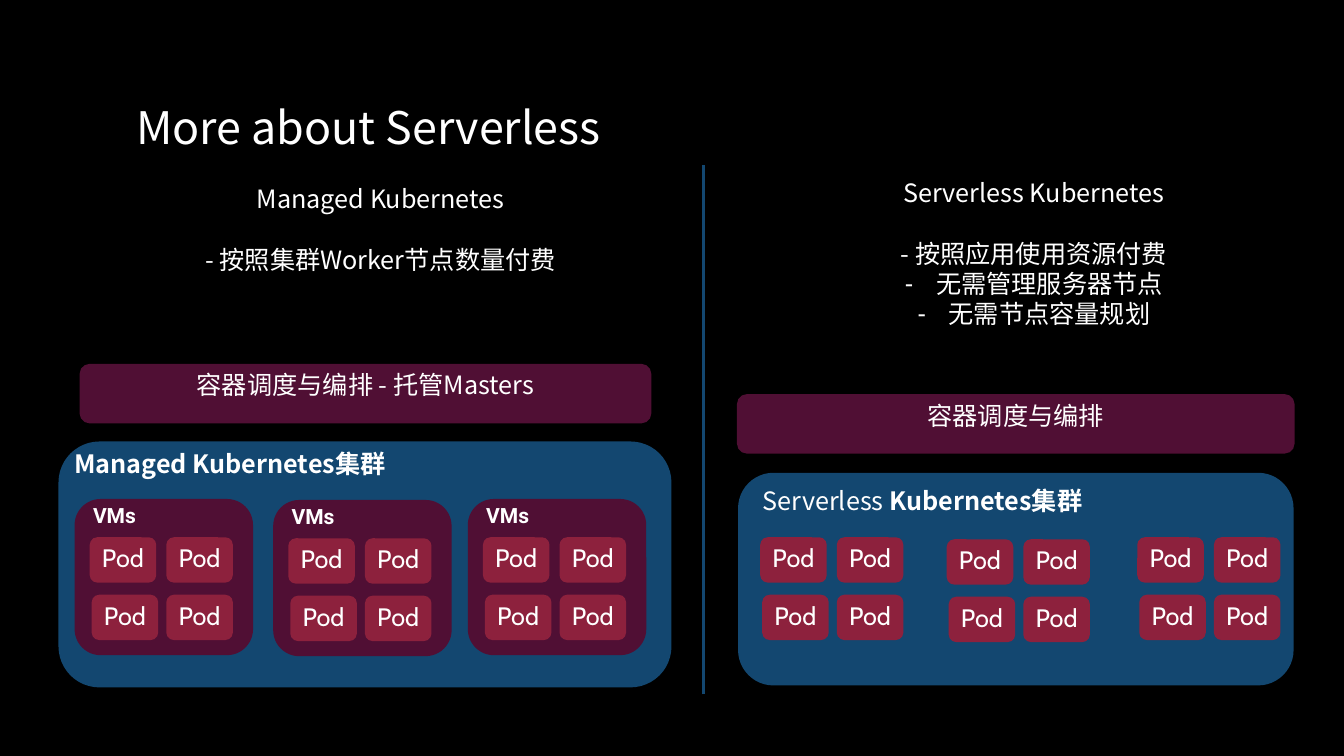
from dataclasses import dataclass
from lxml.etree import SubElement
from pptx import Presentation
from pptx.dml.color import RGBColor
from pptx.enum.shapes import MSO_CONNECTOR, MSO_SHAPE
from pptx.enum.text import MSO_ANCHOR as Anchor, MSO_AUTO_SIZE as AutoSize, PP_ALIGN as Align
from pptx.oxml.ns import qn
from pptx.util import Inches, Pt


@dataclass(frozen=True)
class Theme:
    background = RGBColor.from_string("000000")
    cluster = RGBColor.from_string("134770")
    plum = RGBColor.from_string("500F34")
    pod = RGBColor.from_string("8D213D")
    text = RGBColor.from_string("FFFFFF")
    main_font = "Noto Sans CJK SC"
    pod_font = "Cabin"
    node_font = "Roboto"
    title_size = Pt(32)
    text_size = Pt(18)
    node_size = Pt(15)


theme = Theme()


def style(paragraph, size=theme.text_size, face=theme.main_font, bold=None, align=Align.CENTER):
    """Set alignment and the Latin and East Asian fonts of a paragraph."""
    paragraph.alignment = align
    font = paragraph.font
    font.size, font.name, font.bold = size, face, bold
    font.color.rgb = theme.text
    defaults = paragraph._p.pPr.find(qn("a:defRPr"))
    SubElement(defaults, qn("a:ea"), typeface=face)


def add_box(left, top, width, height, fill=None, text=None, **font):
    """Add a rounded block, or a plain label when no fill is given."""
    place = [Inches(length) for length in (left, top, width, height)]
    if fill is None:
        box = slide.shapes.add_textbox(*place)
    else:
        box = slide.shapes.add_shape(MSO_SHAPE.ROUNDED_RECTANGLE, *place)
        box.shadow.inherit = False
        box.fill.solid()
        box.fill.fore_color.rgb = fill
        box.line.fill.background()
    frame = box.text_frame
    frame.word_wrap = True
    frame.vertical_anchor = Anchor.MIDDLE if fill is None else Anchor.TOP
    frame.margin_left = frame.margin_right = Inches(0.03 if fill is None else 0.05)
    frame.margin_top = frame.margin_bottom = Inches(0.03)
    if text:
        frame.text = text
        style(frame.paragraphs[0], **font)
    return frame


prs = Presentation()
prs.slide_width, prs.slide_height = Inches(13.33), Inches(7.5)
slide = prs.slides.add_slide(prs.slide_layouts[3])
slide.background.fill.solid()
slide.background.fill.fore_color.rgb = theme.background

# Title
title = slide.shapes.title
title.left, title.top, title.width, title.height = map(Inches, (1.25, 0.68, 11.04, 1.22))
title.text_frame.text = "More about Serverless"
title.text_frame.vertical_anchor = Anchor.MIDDLE
title.text_frame.auto_size = AutoSize.NONE
heading = title.text_frame.paragraphs[0]
heading.line_spacing = 0.9
style(heading, theme.title_size, align=Align.LEFT)

# Comparison of the two offers: a heading, a first point, then bulleted points
offers = [
    (1, (0.78, 1.75, 5.99, 1.05), ["Managed Kubernetes", "- 按照集群Worker节点数量付费"]),
    (2, (6.9, 1.75, 6.71, 1.52), ["Serverless Kubernetes", "- 按照应用使用资源付费",
                                  "无需管理服务器节点", "无需节点容量规划"]),
]
for idx, place, lines in offers:
    offer = slide.placeholders[idx]
    offer.left, offer.top, offer.width, offer.height = map(Inches, place)
    frame = offer.text_frame
    frame.text = "\n".join(lines)
    frame.auto_size = AutoSize.NONE
    frame.vertical_anchor = Anchor.MIDDLE
    frame.margin_left = frame.margin_right = Inches(0.03)
    frame.margin_top = frame.margin_bottom = Inches(0.03)
    for number, paragraph in enumerate(frame.paragraphs):
        bulleted = number > 1
        indent = Inches(0.31) if bulleted else 0
        properties = paragraph._p.get_or_add_pPr()
        properties.set("marL", str(indent))
        properties.set("indent", str(-indent))
        if bulleted:
            SubElement(properties, qn("a:buChar"), char="-")
        else:
            SubElement(properties, qn("a:buNone"))
        paragraph.space_before = Pt(22 if number == 1 else 0)
        style(paragraph)

# Schedulers and clusters
add_box(0.79, 3.61, 5.67, 0.59, theme.plum, "容器调度与编排 - 托管Masters")
add_box(7.31, 3.91, 5.53, 0.59, theme.plum, "容器调度与编排")
add_box(0.58, 4.38, 6.08, 2.44, theme.cluster)
add_box(7.32, 4.69, 5.51, 2.11, theme.cluster)
add_box(0.6, 4.42, 3.36, 0.36, text="Managed Kubernetes集群", bold=True)
serverless_name = add_box(7.19, 4.78, 3.92, 0.36, text="Serverless ").paragraphs[0]
cluster_word = serverless_name.add_run()
cluster_word.text = "Kubernetes集群"
cluster_word.font.bold = True

# Server nodes of the managed cluster, then pods in groups of four
nodes = [(0.74, 4.95), (2.71, 4.96), (4.64, 4.95)]
for left, top in nodes:
    add_box(left, top, 1.77, 1.55, theme.plum)
    node_label = add_box(left + 0.15, top + 0.01, 0.49, 0.31, text="VMs",
                         size=theme.node_size, face=theme.node_font, bold=True)
    node_label.word_wrap = False

pod_groups = [(left + 0.15, top + 0.38) for left, top in nodes]
pod_groups += [(7.54, 5.33), (9.39, 5.35), (11.28, 5.33)]
for left, top in pod_groups:
    for row in range(2):
        for column in range(2):
            nudge = 0.02 if row and not column else 0
            add_box(left + 0.76 * column + nudge, top + 0.57 * row, 0.66, 0.45,
                    theme.pod, "Pod", face=theme.pod_font)

# Divider
divider = slide.shapes.add_connector(
    MSO_CONNECTOR.STRAIGHT, Inches(6.98), Inches(6.89), Inches(6.98), Inches(1.64))
divider.line.color.rgb = theme.cluster
divider.line.width = Pt(2)
SubElement(divider._element.spPr, qn("a:effectLst"))

prs.save("out.pptx")
